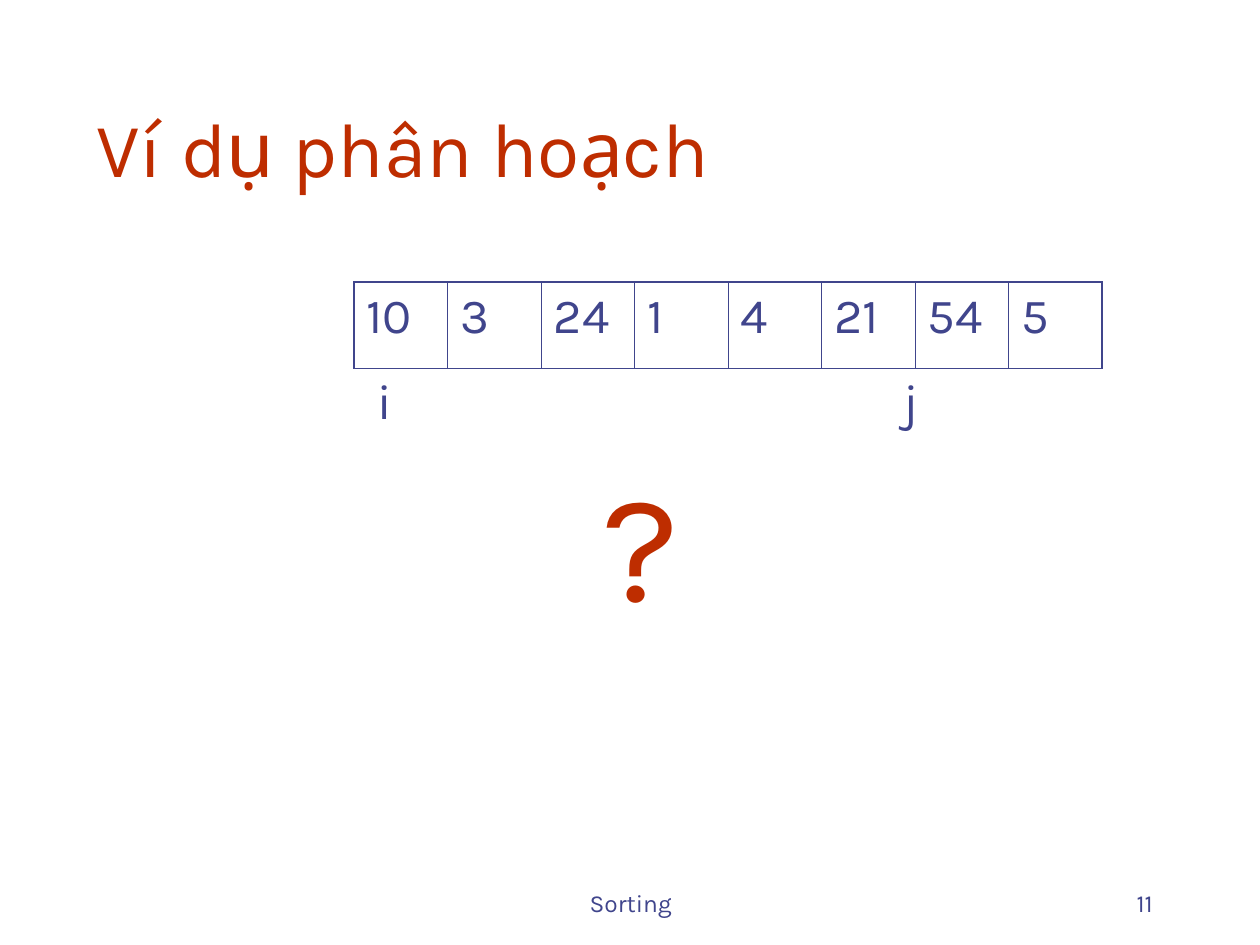
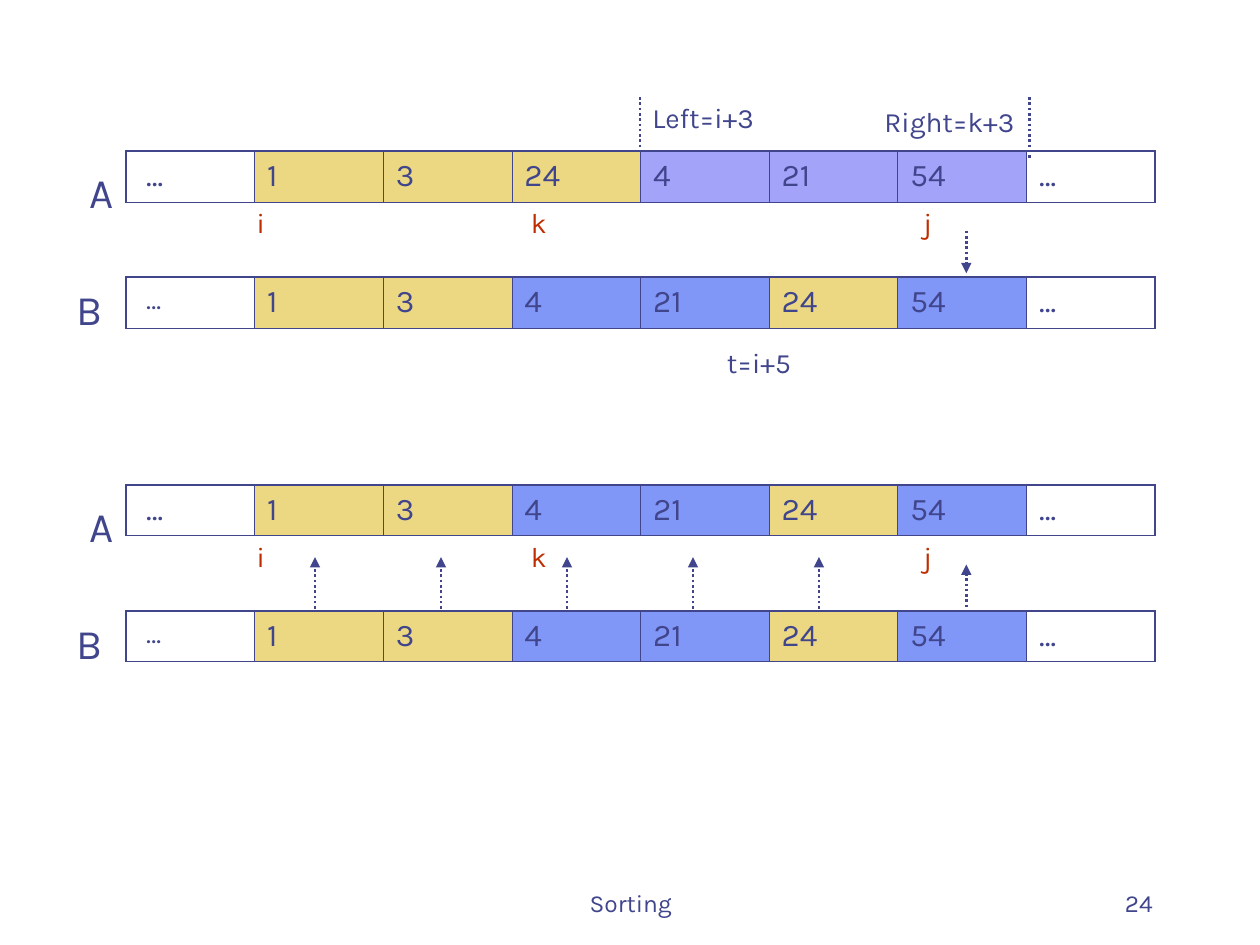
from pptx import Presentation
from pptx.dml.color import RGBColor
from pptx.enum.dml import MSO_LINE
from pptx.enum.shapes import MSO_CONNECTOR
from pptx.enum.text import MSO_ANCHOR, PP_ALIGN
from pptx.oxml.ns import qn
from pptx.oxml.xmlchemy import OxmlElement
from pptx.util import Cm, Pt

# Shared style
FONT = "Karla"
INK, ACCENT = "40458C", "BE2D00"
FILLS = {"y": "ECD882", "p": "A3A3F9", "b": "8097F8"}
THIN, THICK = 0.45, 1.08
NO_STYLE = "{2D5ABB26-0587-4C30-8999-92F81FD0307C}"

# Merge diagram
ROW_LEFT, ROW_WIDTH = 2.54, 20.75
A_TOP, B_TOP, STEP_DROP = 3.05, 5.59, 6.73
A_ROWS, B_ROWS = (1.02, 0.94), (1.02, 1.27)
UNMERGED = ["…", "1", "3", "24", "4", "21", "54", "…"]
MERGED = ["…", "1", "3", "4", "21", "24", "54", "…"]
MERGED_FILLS = "-yybbyb-"


def rgb(color):
    return RGBColor.from_string(color)


def write(frame, text, size, color=INK, align=PP_ALIGN.LEFT, indent=0, tab=None):
    frame.text = text
    paragraph = frame.paragraphs[0]
    paragraph.alignment = align
    properties = paragraph._p.get_or_add_pPr()
    if indent:
        properties.set("marL", str(Cm(indent)))
    if tab:
        stops = OxmlElement("a:tabLst")
        stop = OxmlElement("a:tab")
        stop.set("pos", str(Cm(tab)))
        stop.set("algn", "l")
        stops.append(stop)
        properties.append(stops)
    for run in paragraph.runs:
        run.font.name = FONT
        run.font.size = Pt(size)
        run.font.color.rgb = rgb(color)


def add_label(slide, text, box, size, color=INK, align=PP_ALIGN.LEFT,
              anchor=MSO_ANCHOR.TOP):
    frame = slide.shapes.add_textbox(*map(Cm, box)).text_frame
    frame.word_wrap = True
    frame.vertical_anchor = anchor
    write(frame, text, size, color, align)


def add_footer(slide, number):
    add_label(slide, "Sorting", (8.69, 17.35, 8.05, 1.27), 14,
              align=PP_ALIGN.CENTER, anchor=MSO_ANCHOR.BOTTOM)
    add_label(slide, number, (18.21, 17.35, 5.28, 1.27), 14,
              align=PP_ALIGN.RIGHT, anchor=MSO_ANCHOR.BOTTOM)


def add_title(slide, text):
    add_label(slide, text, (1.7, 0.84, 21.59, 3.18), 44, ACCENT,
              anchor=MSO_ANCHOR.BOTTOM)


def set_border(cell, side, width):
    border = OxmlElement(f"a:ln{side}")
    border.set("w", str(Pt(width)))
    fill = OxmlElement("a:solidFill")
    color = OxmlElement("a:srgbClr")
    color.set("val", INK)
    fill.append(color)
    border.append(fill)
    cell._tc.get_or_add_tcPr().append(border)


def add_array(slide, values, left, top, width, heights, size, fills=None):
    """Draw the array as a boxed row above an open row for its index marks."""
    count = len(values)
    table = slide.shapes.add_table(2, count, Cm(left), Cm(top), Cm(width),
                                   Cm(sum(heights))).table
    table.first_row = table.horz_banding = False
    table._tbl.tblPr.find(qn("a:tableStyleId")).text = NO_STYLE
    for row, height in zip(table.rows, heights):
        row.height = Cm(height)
    for index, value in enumerate(values):
        table.columns[index].width = Cm(width / count)
        item, mark = table.cell(0, index), table.cell(1, index)
        set_border(item, "L", THICK if index == 0 else THIN)
        set_border(item, "R", THICK if index == count - 1 else THIN)
        set_border(item, "T", THICK)
        set_border(item, "B", THIN)
        set_border(mark, "T", THIN)
        mark.fill.background()
        key = fills[index] if fills else "-"
        if key in FILLS:
            item.fill.solid()
            item.fill.fore_color.rgb = rgb(FILLS[key])
        else:
            item.fill.background()
        write(item.text_frame, value, size)
    return table


def merge_marks(table, first, last):
    cell = table.cell(1, first)
    cell.merge(table.cell(1, last))
    return cell


def add_merge_row(slide, top, heights, values, fills, dots_size=18):
    table = add_array(slide, values, ROW_LEFT, top, ROW_WIDTH, heights, 18, fills)
    write(table.cell(0, 0).text_frame, "…", dots_size, indent=0.15)
    return table


def add_a_row(slide, top, values, fills):
    table = add_merge_row(slide, top, A_ROWS, values, fills)
    for text, first, last, indent in (("i", 0, 1, 2.38), ("k", 3, 3, 0.13),
                                      ("j", 6, 7, 0.26)):
        cell = merge_marks(table, first, last) if last > first else table.cell(1, first)
        write(cell.text_frame, text, 16, ACCENT, indent=indent)
    add_label(slide, "A", (1.07, top + 0.18, 1.47, 1.27), 24, align=PP_ALIGN.RIGHT)


def add_b_row(slide, top):
    table = add_merge_row(slide, top, B_ROWS, MERGED, MERGED_FILLS, dots_size=16)
    add_label(slide, "B", (0.84, top, 1.47, 1.27), 24, align=PP_ALIGN.RIGHT)
    return merge_marks(table, 0, 7)


def add_dotted_line(slide, x, start, end, arrow=False):
    line = slide.shapes.add_connector(MSO_CONNECTOR.STRAIGHT, Cm(x), Cm(start),
                                      Cm(x), Cm(end))
    line.line.color.rgb = rgb(INK)
    line.line.width = Pt(1.5)
    line.line.dash_style = MSO_LINE.ROUND_DOT
    if arrow:
        tip = OxmlElement("a:tailEnd")
        tip.set("type", "triangle")
        line.line._get_or_add_ln().append(tip)
    line._element.spPr.append(OxmlElement("a:effectLst"))


def build_partition(slide):
    add_footer(slide, "11")
    add_title(slide, "Ví dụ phân hoạch")
    values = ["10", "3", "24", "1", "4", "21", "54", "5"]
    table = add_array(slide, values, 7.14, 5.69, 15.08, (1.73, 2.62), 28)
    write(merge_marks(table, 0, 7).text_frame, "i\tj", 28, indent=0.22, tab=10.6)
    add_label(slide, "?", (6.78, 8.89, 12.27, 3.99), 88, ACCENT, PP_ALIGN.CENTER)


def build_merge(slide):
    add_footer(slide, "24")

    # Merge both halves of A into B
    add_a_row(slide, A_TOP, UNMERGED, "-yyyppp-")
    position = add_b_row(slide, B_TOP)
    position.margin_top = Cm(0.4)
    write(position.text_frame, "t=i+5", 16, indent=11.86)
    add_label(slide, "Left=i+3", (12.9, 1.9, 2.97, 0.94), 16)
    add_label(slide, "Right=k+3", (17.58, 1.98, 3.38, 0.94), 16)
    add_dotted_line(slide, 12.9, 1.96, 3)
    add_dotted_line(slide, 20.75, 1.96, 3.23)
    add_dotted_line(slide, 19.48, 4.65, 5.51, arrow=True)

    # Copy B back into A
    add_a_row(slide, A_TOP + STEP_DROP, MERGED, MERGED_FILLS)
    add_b_row(slide, B_TOP + STEP_DROP)
    for index in range(5):
        add_dotted_line(slide, 6.35 + 2.54 * index, 12.27, 11.23, arrow=True)
    add_dotted_line(slide, 19.48, 12.24, 11.38, arrow=True)


def main():
    deck = Presentation()
    deck.slide_width, deck.slide_height = Cm(25.4), Cm(19.05)
    for build in (build_partition, build_merge):
        build(deck.slides.add_slide(deck.slide_layouts[6]))
    deck.save("out.pptx")


if __name__ == "__main__":
    main()
